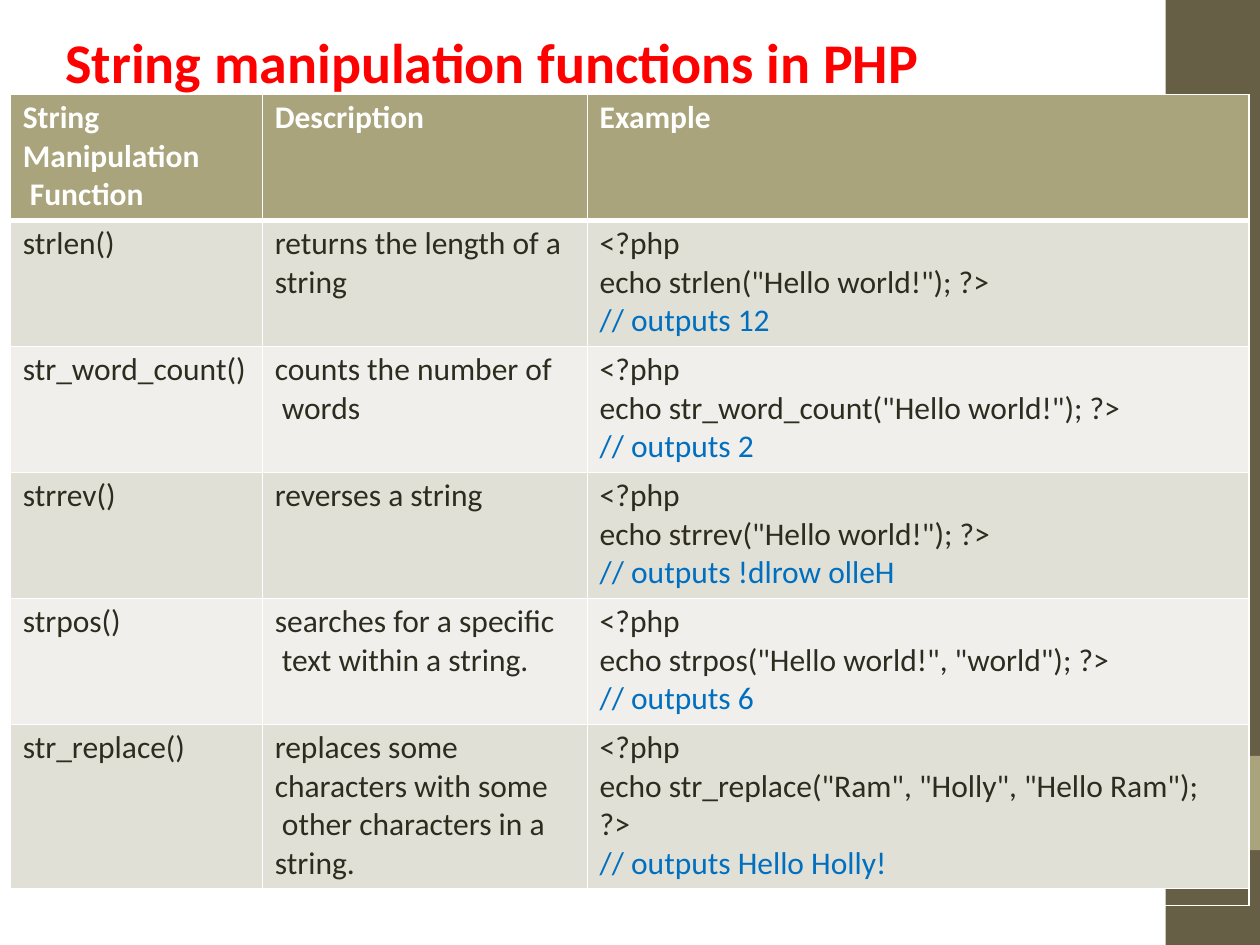
"""Build a slide with a table of PHP string manipulation functions."""
from dataclasses import dataclass

from lxml import etree
from pptx import Presentation
from pptx.dml.color import RGBColor
from pptx.enum.shapes import MSO_SHAPE
from pptx.oxml.ns import qn
from pptx.util import Cm, Pt

RECTANGLE = MSO_SHAPE.RECTANGLE


@dataclass(frozen=True)
class Theme:
    font: str = "Calibri"
    title_size: int = 32
    body_size: int = 18
    title: str = "FF0000"
    white: str = "FFFFFF"
    ink: str = "2E2B1F"
    comment: str = "006FC0"
    brown: str = "675E46"
    khaki: str = "A9A47B"
    bands: tuple = ("E1E0D6", "F0EFEB")


def add_text(paragraph, text, color, size, bold=False):
    for index, line in enumerate(text.split("\n")):
        if index:
            paragraph.add_line_break()
        run = paragraph.add_run()
        run.text = line
        run.font.name = theme.font
        run.font.size = Pt(size)
        run.font.bold = bold
        run.font.color.rgb = RGBColor.from_string(color)


def add_border(cell, side, points):
    properties = cell._tc.get_or_add_tcPr()
    line = etree.SubElement(properties, qn(f"a:ln{side}"), w=str(Pt(points)))
    fill = etree.SubElement(line, qn("a:solidFill"))
    etree.SubElement(fill, qn("a:srgbClr"), val=theme.white)


theme = Theme()
presentation = Presentation()
presentation.slide_width = Cm(25.4)
presentation.slide_height = Cm(19.05)
slide = presentation.slides.add_slide(presentation.slide_layouts[6])

for top, height, color in ((0, 19.05, theme.brown), (15.24, 1.9, theme.khaki)):
    shape = slide.shapes.add_shape(RECTANGLE, Cm(23.5), Cm(top), Cm(1.9), Cm(height))
    shape.shadow.inherit = False
    shape.fill.solid()
    shape.fill.fore_color.rgb = RGBColor.from_string(color)
    shape.line.fill.background()

headers = ("String Manipulation\n Function", "Description", "Example")
functions = (
    ("strlen()", ("returns the length of a", "string"),
     ('echo strlen("Hello world!"); ?>',), "12"),
    ("str_word_count()", ("counts the number of\n words",),
     ('echo str_word_count("Hello world!"); ?>',), "2"),
    ("strrev()", ("reverses a string",),
     ('echo strrev("Hello world!"); ?>',), "!dlrow olleH"),
    ("strpos()", ("searches for a specific\n text within a string.",),
     ('echo strpos("Hello world!", "world"); ?>',), "6"),
    ("str_replace()", ("replaces some characters with some\n other characters in a string.",),
     ('echo str_replace("Ram", "Holly", "Hello Ram");', "?>"), "Hello Holly!"),
)
rows = [[(header,) for header in headers]]
for name, description, code, output in functions:
    rows.append([(name,), description, ("<?php", *code, f"// outputs {output}")])
rows.append([(), (), ()])

column_widths = (5.08, 6.55, 13.34)
row_heights = (2.54,) * 5 + (3.3, 0.3)
table = slide.shapes.add_table(
    len(rows), len(column_widths), Cm(0.21), Cm(1.91),
    Cm(sum(column_widths)), Cm(sum(row_heights)),
).table
table.horz_banding = False
for column, width in zip(table.columns, column_widths):
    column.width = Cm(width)

for row_index, row in enumerate(rows):
    table.rows[row_index].height = Cm(row_heights[row_index])
    is_header = row_index == 0
    is_empty = row_index == len(rows) - 1
    for column_index, lines in enumerate(row):
        cell = table.cell(row_index, column_index)
        cell.margin_left = Cm(0.25)
        cell.margin_top = Cm(0.08)
        cell.margin_right = cell.margin_bottom = 0
        if is_empty:
            add_border(cell, "T", 1)
            cell.fill.background()
            paragraph = cell.text_frame.paragraphs[0]
            etree.SubElement(paragraph._p, qn("a:endParaRPr"), sz=str(Pt(6).centipoints))
            continue
        add_border(cell, "L", 1)
        add_border(cell, "R", 1)
        add_border(cell, "T", 3 if row_index == 1 else 1)
        add_border(cell, "B", 3 if is_header else 1)
        cell.fill.solid()
        fill_color = theme.khaki if is_header else theme.bands[(row_index - 1) % 2]
        cell.fill.fore_color.rgb = RGBColor.from_string(fill_color)
        for line_index, line in enumerate(lines):
            frame = cell.text_frame
            paragraph = frame.add_paragraph() if line_index else frame.paragraphs[0]
            paragraph.space_before = Pt(0 if line_index else 2.5)
            color = theme.comment if line.startswith("//") else theme.ink
            add_text(paragraph, line, theme.white if is_header else color,
                     theme.body_size, is_header)

title = slide.shapes.add_textbox(Cm(1.07), Cm(0.43), Cm(21.39), Cm(1.63))
title.text_frame.word_wrap = True
add_text(title.text_frame.paragraphs[0], "String manipulation functions in PHP",
         theme.title, theme.title_size, True)

presentation.save("out.pptx")
